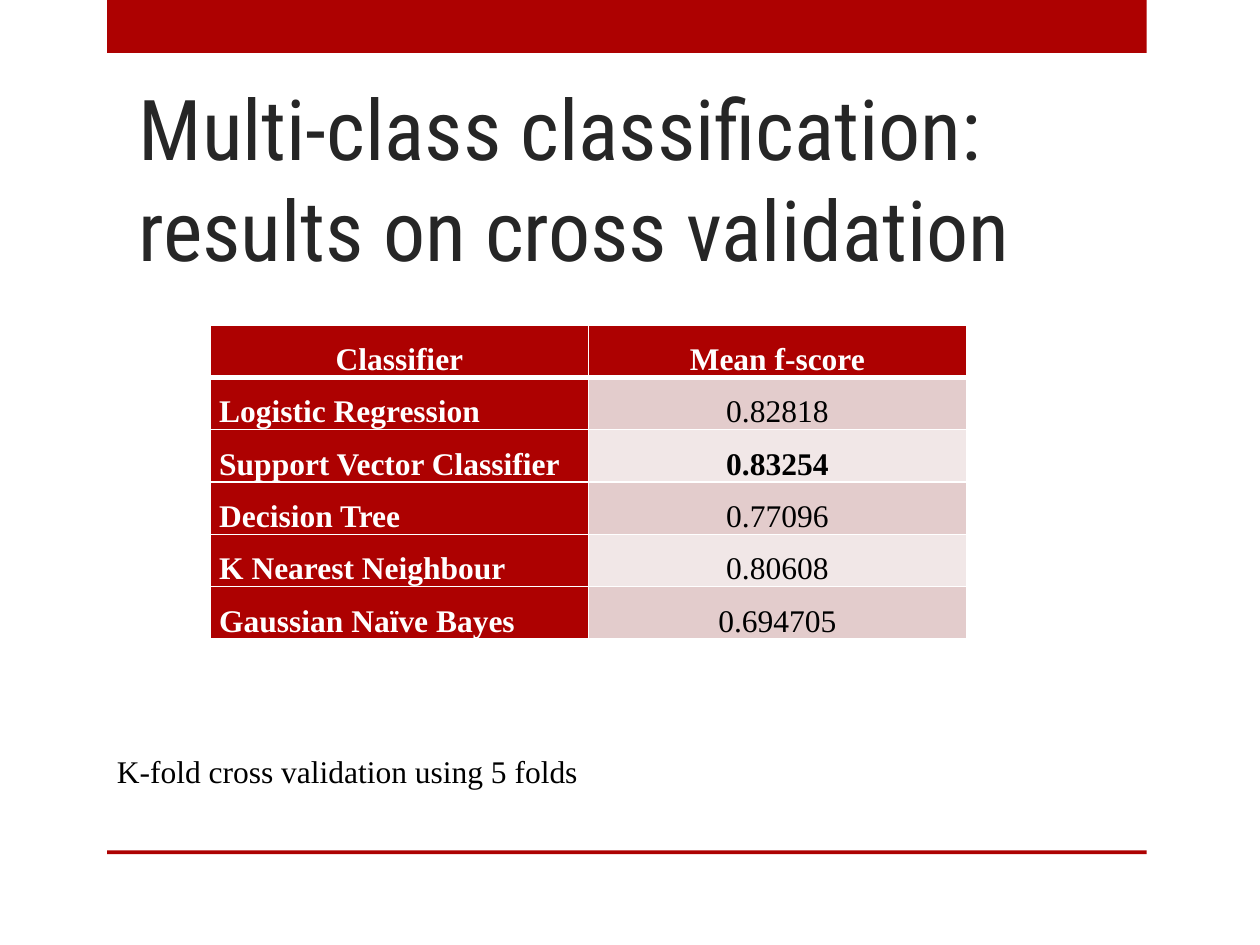
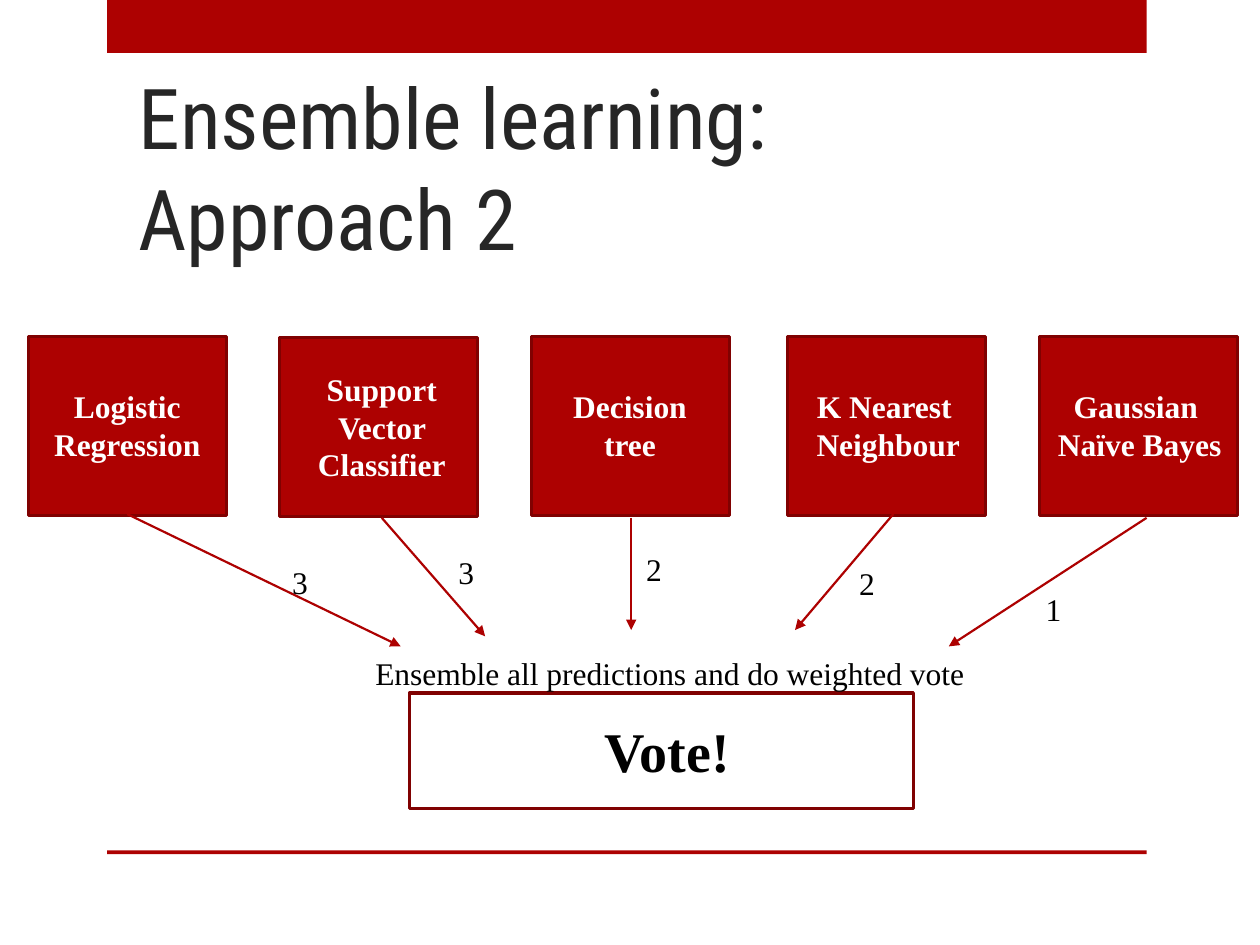
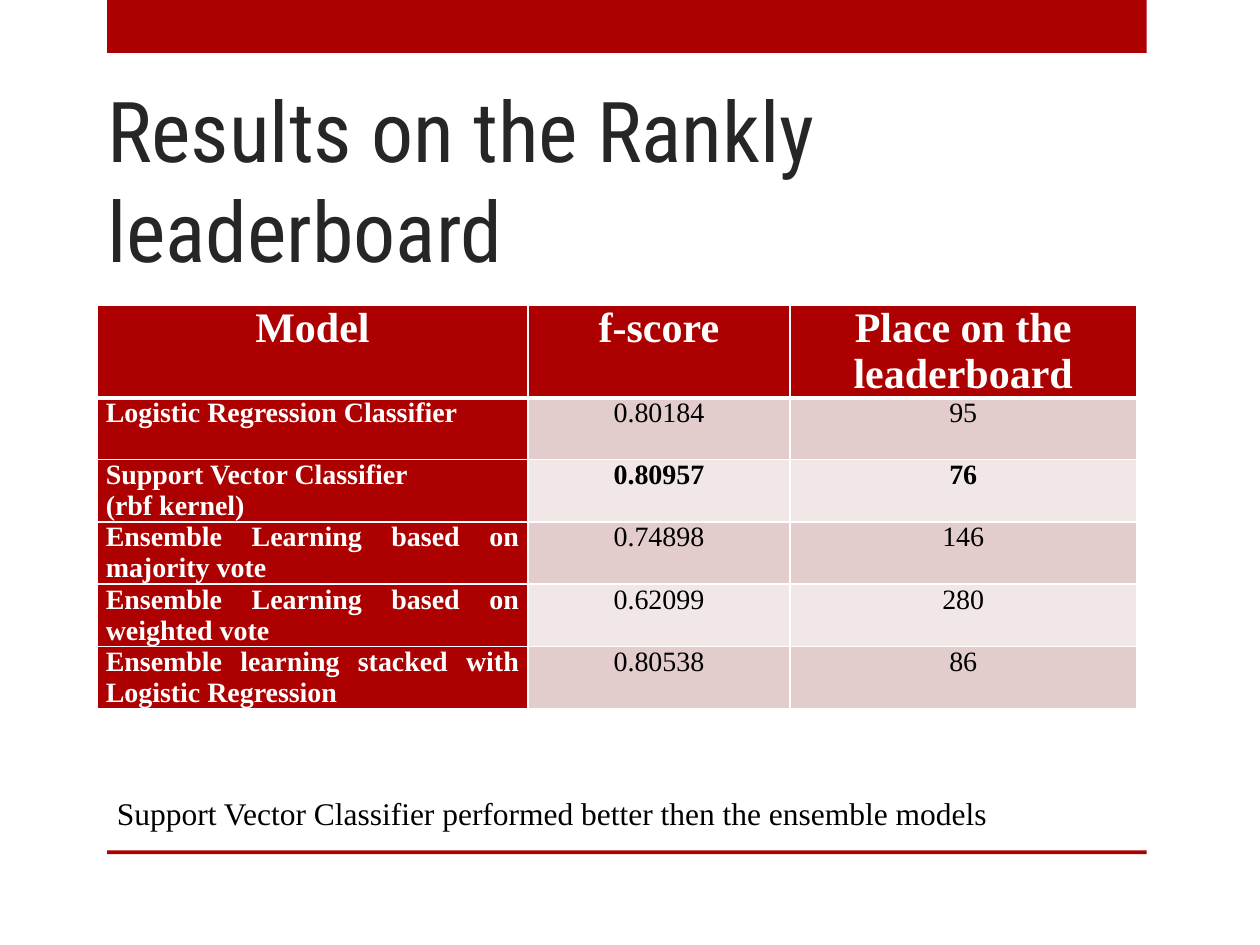
from dataclasses import dataclass

from pptx import Presentation
from pptx.dml.color import RGBColor
from pptx.enum import shapes, text
from pptx.oxml import ns, xmlchemy
from pptx.util import Inches, Pt

RED = RGBColor(0xAD, 0x01, 0x01)
DARK_RED = RGBColor(0x80, 0x01, 0x01)
ROSE = RGBColor(0xE3, 0xCC, 0xCC)
PALE_ROSE = RGBColor(0xF1, 0xE7, 0xE7)
CHARCOAL = RGBColor(0x26, 0x26, 0x26)
BLACK = RGBColor(0x00, 0x00, 0x00)
WHITE = RGBColor(0xFF, 0xFF, 0xFF)

TITLE_FONT = "Roboto Condensed"
BODY_FONT = "Times New Roman"
TITLE_ONLY = 5
BOX_WIDTH, BOX_HEIGHT = 1.57, 1.42

LEFT = text.PP_ALIGN.LEFT
CENTER = text.PP_ALIGN.CENTER
JUSTIFY = text.PP_ALIGN.JUSTIFY


@dataclass
class Voter:
    """A classifier box, its arrow to the vote and the weight beside the arrow."""
    name: list
    box: tuple
    label_left: float
    label_width: float
    label_height: float
    arrow_start: tuple
    arrow_end: tuple
    weight: str
    weight_at: tuple


VOTERS = [
    Voter(["Logistic Regression"], (0.23, 2.67), 0.32, 1.38, 0.71,
          (1.01, 4.08), (3.18, 5.13), "3", (2.22, 4.42)),
    Voter(["Support Vector Classifier"], (2.22, 2.68), 2.34, 1.38, 1.01,
          (3.03, 4.11), (3.85, 5.05), "3", (3.54, 4.34)),
    Voter(["Decision tree"], (4.22, 2.67), 4.31, 1.38, 0.71,
          (5.01, 4.11), (5.01, 5), "2", (5.03, 4.32)),
    Voter(["K Nearest ", "Neighbour"], (6.25, 2.67), 6.36, 1.38, 0.71,
          (7.09, 4.08), (6.31, 5), "2", (6.72, 4.43)),
    Voter(["Gaussian ", "Naïve Bayes"], (8.25, 2.67), 8.29, 1.51, 0.71,
          (9.1, 4.11), (7.53, 5.13), "1", (8.2, 4.63)),
]

CROSS_VALIDATION = [
    ("Classifier", "Mean f-score"),
    ("Logistic Regression", "0.82818"),
    ("Support Vector Classifier", "0.83254"),
    ("Decision Tree", "0.77096"),
    ("K Nearest Neighbour", "0.80608"),
    ("Gaussian Naïve Bayes", "0.694705"),
]

LEADERBOARD = [
    ("Model", "f-score", "Place on the leaderboard"),
    ("Logistic Regression Classifier", "0.80184", "95"),
    ("Support Vector Classifier\n(rbf kernel)", "0.80957", "76"),
    ("Ensemble Learning based on majority vote", "0.74898", "146"),
    ("Ensemble Learning based on weighted vote", "0.62099", "280"),
    ("Ensemble learning stacked with Logistic Regression", "0.80538", "86"),
]


def inches(*lengths):
    return [Inches(length) for length in lengths]


def add_run(paragraph, words, size, color, bold=False, font=BODY_FONT):
    run = paragraph.add_run()
    run.text = words
    run.font.name = font
    run.font.size = Pt(size)
    run.font.bold = bold
    run.font.color.rgb = color


def fill_frame(frame, lines, size, color, bold=False, align=LEFT, spacing=None):
    """Write each line as a paragraph."""
    for index, line in enumerate(lines):
        paragraph = frame.add_paragraph() if index else frame.paragraphs[0]
        paragraph.alignment = align
        paragraph.line_spacing = spacing
        add_run(paragraph, line, size, color, bold)


def add_text(slide, at, lines, size=18, color=BLACK, bold=False, align=LEFT, wrap=True):
    frame = slide.shapes.add_textbox(*inches(*at)).text_frame
    frame.word_wrap = wrap
    frame.auto_size = text.MSO_AUTO_SIZE.SHAPE_TO_FIT_TEXT
    fill_frame(frame, lines, size, color, bold, align)


def add_rectangle(slide, at, fill=None, outline=None):
    rectangle = slide.shapes.add_shape(shapes.MSO_SHAPE.RECTANGLE, *inches(*at))
    rectangle.shadow.inherit = False
    if fill is None:
        rectangle.fill.background()
    else:
        rectangle.fill.solid()
        rectangle.fill.fore_color.rgb = fill
    if outline is None:
        rectangle.line.fill.background()
    else:
        rectangle.line.color.rgb = outline
        rectangle.line.width = Pt(1.75)


def add_arrow(slide, start, end):
    arrow = slide.shapes.add_connector(
        shapes.MSO_CONNECTOR.STRAIGHT, *inches(*start, *end))
    arrow.line.color.rgb = RED
    arrow.line.width = Pt(1.25)
    tail = xmlchemy.OxmlElement("a:tailEnd")
    tail.set("type", "triangle")
    arrow.line._get_or_add_ln().append(tail)
    arrow._element.spPr.append(xmlchemy.OxmlElement("a:effectLst"))


def add_slide(deck, title_lines, left, top, width):
    """Add a slide with the red bands and a bottom-anchored title."""
    slide = deck.slides.add_slide(deck.slide_layouts[TITLE_ONLY])
    add_rectangle(slide, (0.85, 0, 8.25, 0.42), RED)
    add_rectangle(slide, (0.85, 6.75, 8.25, 0.03), RED)
    title = slide.shapes.title
    title.left, title.top, title.width, title.height = inches(left, top, width, 1.75)
    frame = title.text_frame
    frame.word_wrap = True
    frame.auto_size = text.MSO_AUTO_SIZE.NONE
    frame.vertical_anchor = text.MSO_ANCHOR.BOTTOM
    paragraph = frame.paragraphs[0]
    paragraph.alignment = LEFT
    for index, line in enumerate(title_lines):
        if index:
            paragraph.add_line_break()
        add_run(paragraph, line, 48, CHARCOAL, font=TITLE_FONT)
    return slide


def set_borders(cell, top, bottom):
    """Draw white borders; top and bottom are widths in points."""
    properties = cell._tc.get_or_add_tcPr()
    for side, width in (("L", 1), ("R", 1), ("T", top), ("B", bottom)):
        border = xmlchemy.OxmlElement(f"a:ln{side}")
        border.set("w", str(Pt(width)))
        fill = xmlchemy.OxmlElement("a:solidFill")
        color = xmlchemy.OxmlElement("a:srgbClr")
        color.set("val", str(WHITE))
        fill.append(color)
        border.append(fill)
        properties.append(border)


def add_score_table(slide, rows, at, widths, heights, sizes, name_align,
                    best_row=2, spacing=None):
    """heights and sizes are pairs: header row, then body rows."""
    frame = slide.shapes.add_table(
        len(rows), len(widths),
        *inches(*at, sum(widths), heights[0] + heights[1] * (len(rows) - 1)))
    table = frame.table
    for column, width in zip(table.columns, widths):
        column.width = Inches(width)
    for r, row in enumerate(rows):
        is_body = r > 0
        table.rows[r].height = Inches(heights[is_body])
        for c, words in enumerate(row):
            cell = table.cell(r, c)
            cell.margin_left = cell.margin_right = Inches(0.07)
            cell.margin_top = cell.margin_bottom = 0
            set_borders(cell, top=3 if r == 1 else 1, bottom=1 if is_body else 3)
            is_score = is_body and c > 0
            cell.fill.solid()
            cell.fill.fore_color.rgb = (
                (ROSE if r % 2 else PALE_ROSE) if is_score else RED)
            fill_frame(cell.text_frame, words.split("\n"), sizes[is_body],
                       BLACK if is_score else WHITE,
                       bold=not is_score or r == best_row,
                       align=name_align if is_body and c == 0 else CENTER,
                       spacing=spacing)


def add_voter(slide, voter):
    left, top = voter.box
    add_rectangle(slide, (left, top, BOX_WIDTH, BOX_HEIGHT), RED, DARK_RED)
    label_top = top + (BOX_HEIGHT - voter.label_height) / 2
    add_text(slide, (voter.label_left, label_top, voter.label_width, voter.label_height),
             voter.name, color=WHITE, bold=True, align=CENTER,
             wrap=len(voter.name) == 1)
    add_arrow(slide, voter.arrow_start, voter.arrow_end)
    add_text(slide, (*voter.weight_at, 0.66, 0.4), [voter.weight])


def add_cross_validation_slide(deck):
    slide = add_slide(deck, ["Multi-class classification: results on cross validation"],
                      1, 0.51, 7.67)
    add_score_table(slide, CROSS_VALIDATION, (1.67, 2.58), (3, 3),
                    heights=(0.41, 0.41), sizes=(18, 18), name_align=LEFT, spacing=1.5)
    add_text(slide, (0.83, 5.92, 7.17, 0.4), ["K-fold cross validation using 5 folds"])


def add_ensemble_slide(deck):
    slide = add_slide(deck, ["Ensemble learning:", "Approach 2"], 1, 0.42, 7.67)
    for voter in VOTERS:
        add_voter(slide, voter)
    add_rectangle(slide, (3.25, 5.5, 4, 0.92), outline=DARK_RED)
    add_text(slide, (3.74, 5.64, 3.11, 0.64), ["Vote!"], size=32, bold=True, align=CENTER)
    add_text(slide, (2.88, 5.14, 4.99, 0.4),
             ["Ensemble all predictions and do weighted vote"])


def add_leaderboard_slide(deck):
    slide = add_slide(deck, ["Results on the Rankly leaderboard"], 0.75, 0.52, 7.42)
    add_score_table(slide, LEADERBOARD, (0.77, 2.42), (3.42, 2.08, 2.75),
                    heights=(0.73, 0.49), sizes=(24, 16), name_align=JUSTIFY)
    add_text(slide, (0.83, 6.25, 8.25, 0.4),
             ["Support Vector Classifier performed better then the ensemble models"])


def main():
    deck = Presentation()
    deck.slide_width, deck.slide_height = inches(10, 7.5)
    add_cross_validation_slide(deck)
    add_ensemble_slide(deck)
    add_leaderboard_slide(deck)
    deck.save("out.pptx")


if __name__ == "__main__":
    main()
